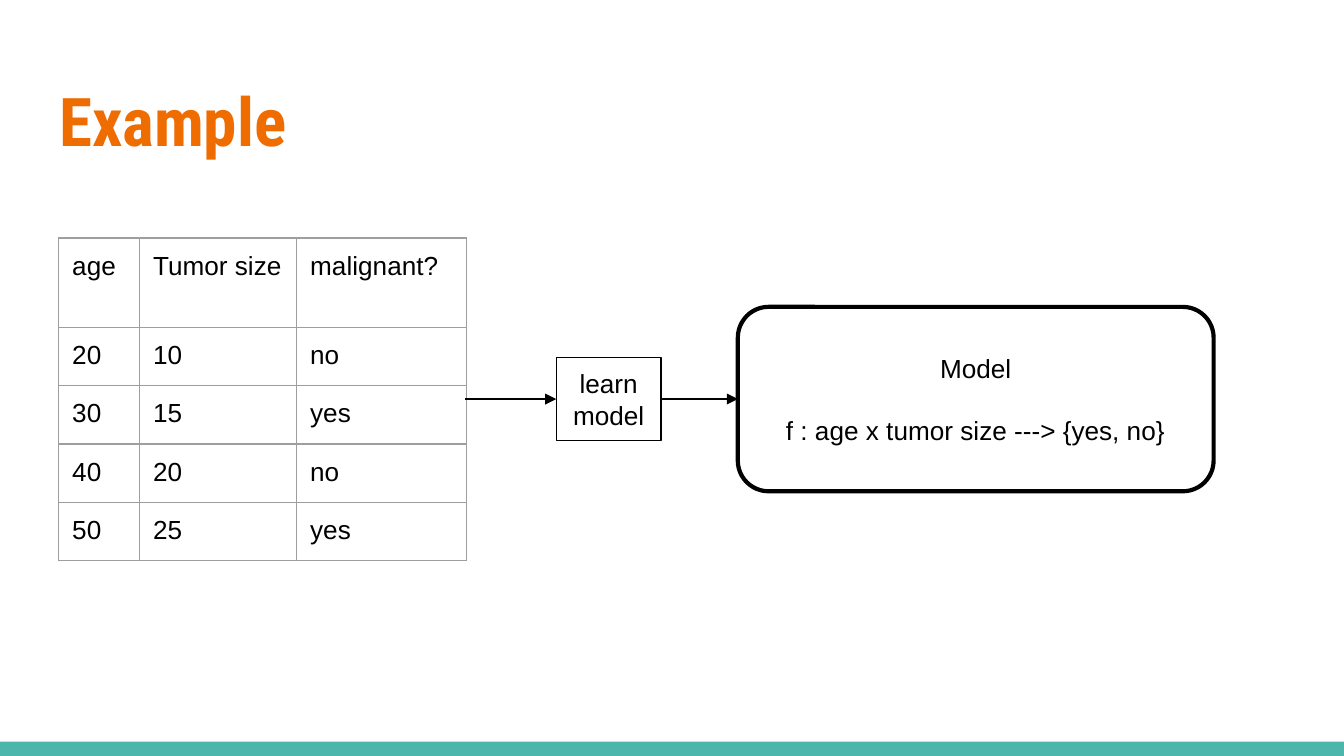
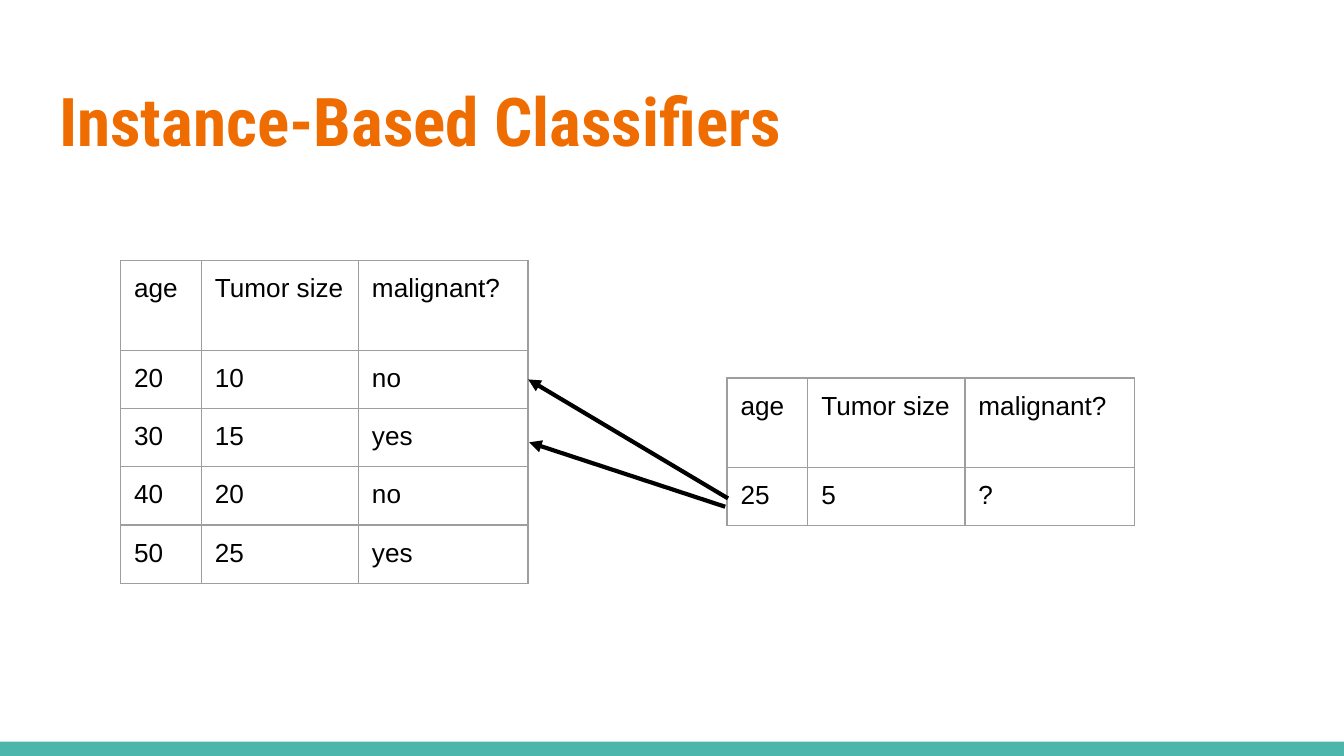
from lxml import etree
from pptx import Presentation
from pptx.dml.color import RGBColor
from pptx.enum.shapes import MSO_CONNECTOR, MSO_SHAPE
from pptx.enum.text import MSO_ANCHOR, MSO_AUTO_SIZE, PP_ALIGN
from pptx.oxml.ns import qn
from pptx.util import Pt

ORANGE = RGBColor(0xEF, 0x6C, 0x00)
TEAL = RGBColor(0x4D, 0xB6, 0xAC)
GRAY = RGBColor(0x9E, 0x9E, 0x9E)
BLACK = RGBColor(0x00, 0x00, 0x00)
RECTANGLE = MSO_SHAPE.RECTANGLE
ROUNDED_RECTANGLE = MSO_SHAPE.ROUNDED_RECTANGLE
STRAIGHT = MSO_CONNECTOR.STRAIGHT
TOP, MIDDLE = MSO_ANCHOR.TOP, MSO_ANCHOR.MIDDLE
LEFT, CENTER = PP_ALIGN.LEFT, PP_ALIGN.CENTER
NO_AUTOFIT = MSO_AUTO_SIZE.NONE

TITLE_FONT, BODY_FONT = "Roboto Condensed", "Arial"
TITLE_SIZE, BODY_SIZE = 36, 14
SLIDE_WIDTH, SLIDE_HEIGHT = 720, 405
BAND_HEIGHT = 7.7
TITLE_BOX = (24.5, 35.3, 671, 55.4)
INSET = 7.2
COLUMN_WIDTHS = (43.3, 84.2, 90.8)
HEADER_HEIGHT, ROW_HEIGHT = 48, 31.2
PARAGRAPH_GAP = 16.5

HEADER = ("age", "Tumor size", "malignant?")
TRAINING_ROWS = [
    ("20", "10", "no"),
    ("30", "15", "yes"),
    ("40", "20", "no"),
    ("50", "25", "yes"),
]
QUERY_ROWS = [("25", "5", "?")]

FLOW_Y = 213.8
LEARN_LEFT, LEARN_WIDTH = 298, 56.2
MODEL_LEFT, MODEL_WIDTH = 395.3, 254.9

SLIDES = [
    {
        "title": "Example",
        "tables": [(31.5, 127.5, TRAINING_ROWS)],
        "boxes": [
            (RECTANGLE, LEARN_LEFT, LEARN_WIDTH, 44.6, 0.75, ["learn model"]),
            (ROUNDED_RECTANGLE, MODEL_LEFT, MODEL_WIDTH, 98.8, 2.25,
             ["Model", "f : age x tumor size ---> {yes, no}"]),
        ],
        "arrows": [
            ((249.2, FLOW_Y), (LEARN_LEFT, FLOW_Y), 1.5),
            ((LEARN_LEFT + LEARN_WIDTH, FLOW_Y), (MODEL_LEFT, FLOW_Y), 1.5),
        ],
    },
    {
        "title": "Instance-Based Classifiers",
        "tables": [(64.6, 139.7, TRAINING_ROWS), (389.5, 202.5, QUERY_ROWS)],
        "boxes": [],
        "arrows": [
            ((390, 267), (283, 203.3), 2.25),
            ((388.5, 271.5), (283.5, 237), 2.25),
        ],
    },
]


def format_text(text_frame, font_name, size, color, bold=False, alignment=LEFT):
    for paragraph in text_frame.paragraphs:
        paragraph.alignment = alignment
        for run in paragraph.runs:
            run.font.name = font_name
            run.font.size = Pt(size)
            run.font.bold = bold
            run.font.color.rgb = color


def set_insets(target):
    target.margin_left = target.margin_right = Pt(INSET)
    target.margin_top = target.margin_bottom = Pt(INSET)


def add_master_band(presentation, slide):
    band = slide.shapes.add_shape(
        RECTANGLE, 0, Pt(SLIDE_HEIGHT - BAND_HEIGHT), Pt(SLIDE_WIDTH), Pt(BAND_HEIGHT))
    band.shadow.inherit = False
    band.fill.solid()
    band.fill.fore_color.rgb = TEAL
    band.line.fill.background()
    band.element.nvSpPr.cNvPr.set("id", "100")
    presentation.slide_master.shapes.element.append(band.element)


def add_title(slide, text):
    title = slide.shapes.title
    title.left, title.top, title.width, title.height = map(Pt, TITLE_BOX)
    frame = title.text_frame
    frame.text = text
    frame.word_wrap = True
    frame.auto_size = NO_AUTOFIT
    frame.vertical_anchor = TOP
    set_insets(frame)
    format_text(frame, TITLE_FONT, TITLE_SIZE, ORANGE, bold=True)


def add_cell_borders(cell):
    properties = cell._tc.get_or_add_tcPr()
    for position, side in enumerate(("a:lnL", "a:lnR", "a:lnT", "a:lnB")):
        border = etree.Element(qn(side), w=str(Pt(0.75)))
        fill = etree.SubElement(border, qn("a:solidFill"))
        etree.SubElement(fill, qn("a:srgbClr"), val=str(GRAY))
        properties.insert(position, border)


def add_data_table(slide, left, top, data_rows):
    rows = [HEADER, *data_rows]
    heights = [HEADER_HEIGHT] + [ROW_HEIGHT] * len(data_rows)
    table = slide.shapes.add_table(
        len(rows), len(HEADER), Pt(left), Pt(top),
        Pt(sum(COLUMN_WIDTHS)), Pt(sum(heights))).table
    table.first_row = table.horz_banding = False
    for column, width in zip(table.columns, COLUMN_WIDTHS):
        column.width = Pt(width)
    for row, height, values in zip(table.rows, heights, rows):
        row.height = Pt(height)
        for cell, value in zip(row.cells, values):
            cell.text_frame.text = value
            set_insets(cell)
            cell.vertical_anchor = TOP
            cell.fill.background()
            format_text(cell.text_frame, BODY_FONT, BODY_SIZE, BLACK)
            add_cell_borders(cell)


def add_box(slide, kind, left, width, height, line_width, lines):
    box = slide.shapes.add_shape(
        kind, Pt(left), Pt(FLOW_Y - height / 2), Pt(width), Pt(height))
    box.shadow.inherit = False
    box.fill.background()
    box.line.color.rgb = BLACK
    box.line.width = Pt(line_width)
    frame = box.text_frame
    frame.text = "\n".join(lines)
    frame.word_wrap = True
    frame.vertical_anchor = MIDDLE
    set_insets(frame)
    format_text(frame, BODY_FONT, BODY_SIZE, BLACK, alignment=CENTER)
    for paragraph in frame.paragraphs[:-1]:
        paragraph.space_after = Pt(PARAGRAPH_GAP)


def add_arrow(slide, start, end, line_width):
    arrow = slide.shapes.add_connector(STRAIGHT, *map(Pt, start + end))
    arrow.line.color.rgb = BLACK
    arrow.line.width = Pt(line_width)
    etree.SubElement(arrow.line._get_or_add_ln(), qn("a:tailEnd"), type="triangle")
    etree.SubElement(arrow.element.spPr, qn("a:effectLst"))


def main():
    presentation = Presentation()
    presentation.slide_width = Pt(SLIDE_WIDTH)
    presentation.slide_height = Pt(SLIDE_HEIGHT)
    title_only = presentation.slide_layouts[5]
    for content in SLIDES:
        slide = presentation.slides.add_slide(title_only)
        add_title(slide, content["title"])
        for table in content["tables"]:
            add_data_table(slide, *table)
        for box in content["boxes"]:
            add_box(slide, *box)
        for arrow in content["arrows"]:
            add_arrow(slide, *arrow)
    add_master_band(presentation, presentation.slides[0])
    presentation.save("out.pptx")


if __name__ == "__main__":
    main()
